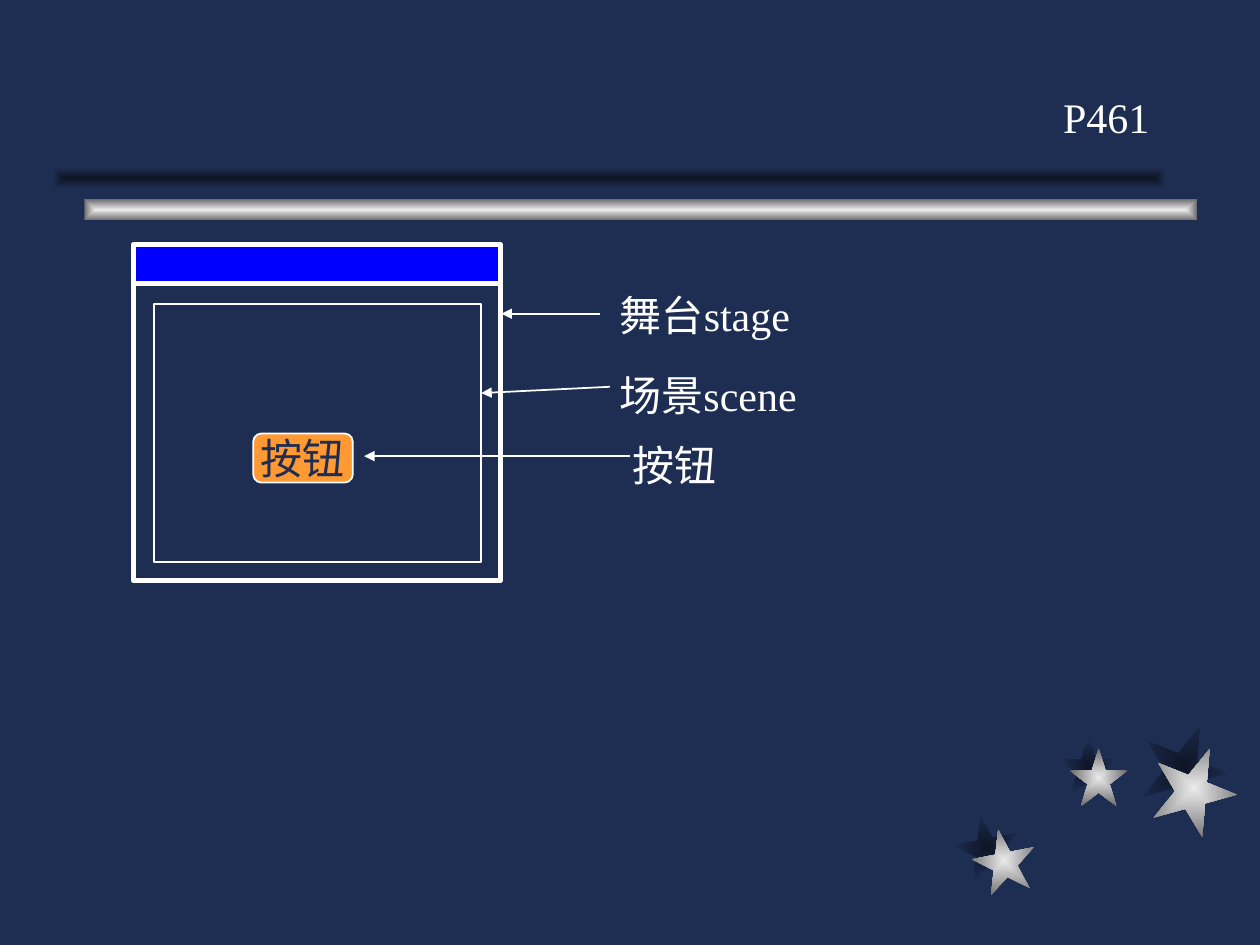
from lxml.etree import SubElement
from pptx import Presentation
from pptx.dml.color import RGBColor
from pptx.enum.shapes import MSO_CONNECTOR, MSO_SHAPE
from pptx.enum.text import MSO_ANCHOR, PP_ALIGN
from pptx.oxml import parse_xml
from pptx.oxml.ns import nsdecls, qn
from pptx.util import Inches, Pt

NAVY, WHITE, BLUE, ORANGE = "1E2E53", "FFFFFF", "0000FF", "FF9933"
SILVER = ("EAEAEA", "6C6C6C")
SHADE = ("0E1526", NAVY)
FONT, TEXT_SIZE = "Times New Roman", 24

# Decoration: (left, top, size, rotation) for each star and its shade
STARS = [
    (SHADE, [(7.58, 6.47, 0.5, -11), (8.41, 5.85, 0.46, 0), (9.06, 5.75, 0.67, 22)]),
    (SILVER, [(7.72, 6.58, 0.5, -11), (8.49, 5.94, 0.46, 0), (9.14, 5.92, 0.67, 22)]),
]
BARS = [(SILVER, 0.67, 1.58), (SHADE, 0.42, 1.33)]
BAR_SIZE = (8.83, 0.17)

# Window diagram: (box, fill, line width)
TITLE_BAR = ((1.06, 1.94, 2.91, 0.31), BLUE, 3)
STAGE = ((1.06, 2.25, 2.91, 2.36), None, 3)
SCENE = ((1.22, 2.41, 2.6, 2.05), None, 1)
BUTTON = ((2.01, 3.44, 0.79, 0.39), ORANGE, 1)
BUTTON_TEXT = "按钮"

# Labels: (text, left, top, width)
LABELS = [
    ("舞台stage", 4.53, 2.25, 2.13),
    ("场景scene", 4.74, 2.88, 1.76),
    ("按钮", 4.84, 3.44, 1.02),
    ("P461", 8.23, 0.68, 1.1),
]
# Arrows: (from x, from y, to x, to y)
ARROWS = [
    (4.76, 2.49, 3.98, 2.49),
    (4.84, 3.07, 3.82, 3.12),
    (5, 3.62, 2.89, 3.62),
]

prs = Presentation()
prs.slide_width, prs.slide_height = Inches(10), Inches(7.5)
slide = prs.slides.add_slide(prs.slide_layouts[6])


def rgb(color):
    return RGBColor.from_string(color)


def inches(values):
    return [Inches(value) for value in values]


def add_glow(kind, box, colors, rotation=0):
    """Add a borderless shape whose gradient runs from its centre outwards."""
    glow = slide.shapes.add_shape(kind, *inches(box))
    glow.shadow.inherit = False
    glow.rotation = rotation
    glow.line.fill.background()
    glow.fill.solid()
    stops = "".join(
        f'<a:gs pos="{pos}"><a:srgbClr val="{color}"/></a:gs>'
        for pos, color in zip((0, 100000), colors))
    gradient = parse_xml(
        f'<a:gradFill {nsdecls("a")} rotWithShape="1"><a:gsLst>{stops}</a:gsLst>'
        '<a:path path="rect"><a:fillToRect l="50000" t="50000" r="50000" b="50000"/>'
        '</a:path></a:gradFill>')
    properties = glow._element.spPr
    properties.replace(properties.find(qn("a:solidFill")), gradient)


def add_panel(kind, box, fill, line_width):
    panel = slide.shapes.add_shape(kind, *inches(box))
    panel.shadow.inherit = False
    if fill:
        panel.fill.solid()
        panel.fill.fore_color.rgb = rgb(fill)
    else:
        panel.fill.background()
    panel.line.color.rgb = rgb(WHITE)
    panel.line.width = Pt(line_width)
    return panel


def write(frame, text, color):
    frame.text = text
    paragraph = frame.paragraphs[0]
    paragraph.alignment = PP_ALIGN.CENTER
    font = paragraph.runs[0].font
    font.name, font.size = FONT, Pt(TEXT_SIZE)
    font.color.rgb = rgb(color)


# Background and decoration
slide.background.fill.solid()
slide.background.fill.fore_color.rgb = rgb(NAVY)
for colors, stars in STARS:
    for left, top, size, rotation in stars:
        add_glow(MSO_SHAPE.STAR_5_POINT, (left, top, size, size), colors, rotation)
for colors, left, top in BARS:
    add_glow(MSO_SHAPE.RECTANGLE, (left, top, *BAR_SIZE), colors)

# Window with its scene and button
for part in (TITLE_BAR, STAGE, SCENE):
    add_panel(MSO_SHAPE.RECTANGLE, *part)
button = add_panel(MSO_SHAPE.ROUNDED_RECTANGLE, *BUTTON)
button.text_frame.word_wrap = False
button.text_frame.vertical_anchor = MSO_ANCHOR.MIDDLE
write(button.text_frame, BUTTON_TEXT, NAVY)

# Labels
for text, left, top, width in LABELS:
    label = slide.shapes.add_textbox(*inches((left, top, width, 0.5)))
    label.text_frame.word_wrap = True
    write(label.text_frame, text, WHITE)

# Arrows from the labels to the parts
for ends in ARROWS:
    arrow = slide.shapes.add_connector(MSO_CONNECTOR.STRAIGHT, *inches(ends))
    arrow.line.color.rgb = rgb(WHITE)
    arrow.line.width = Pt(1)
    SubElement(arrow.line._get_or_add_ln(), qn("a:tailEnd"), type="triangle")
    SubElement(arrow._element.spPr, qn("a:effectLst"))

prs.save("out.pptx")
